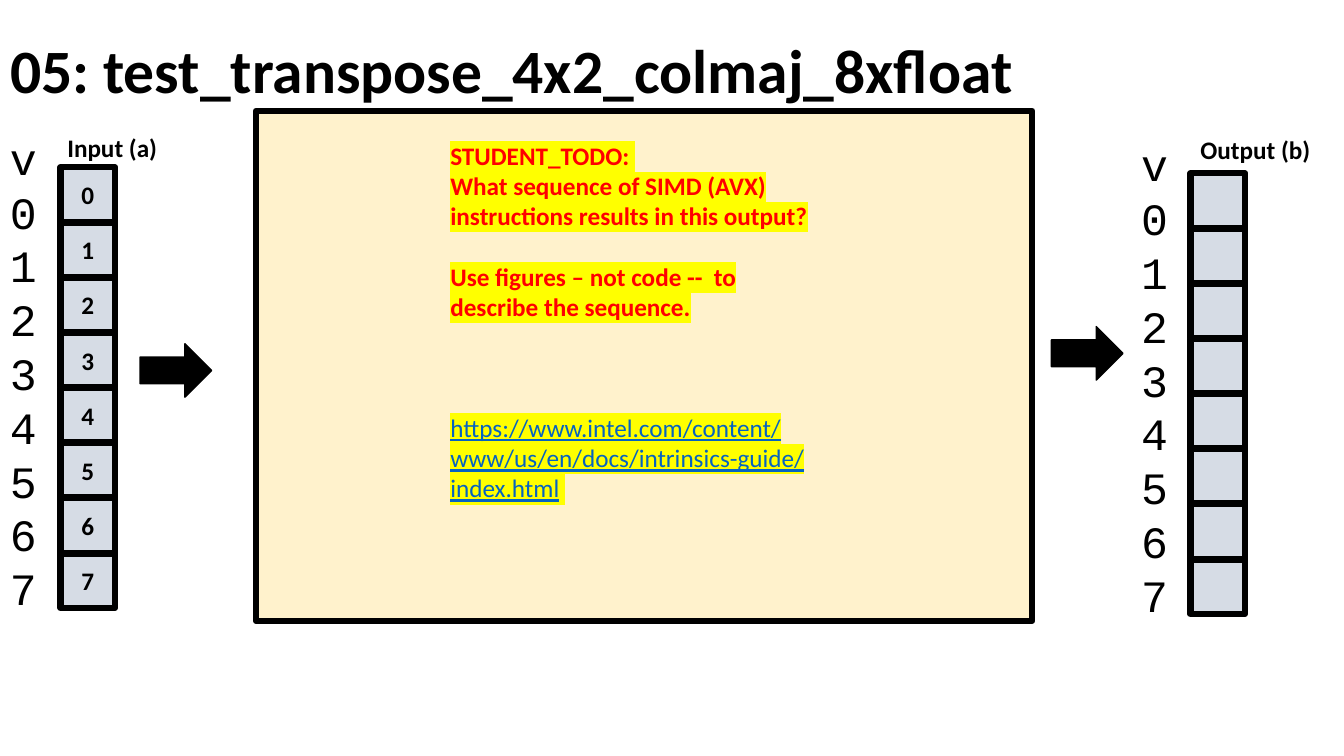
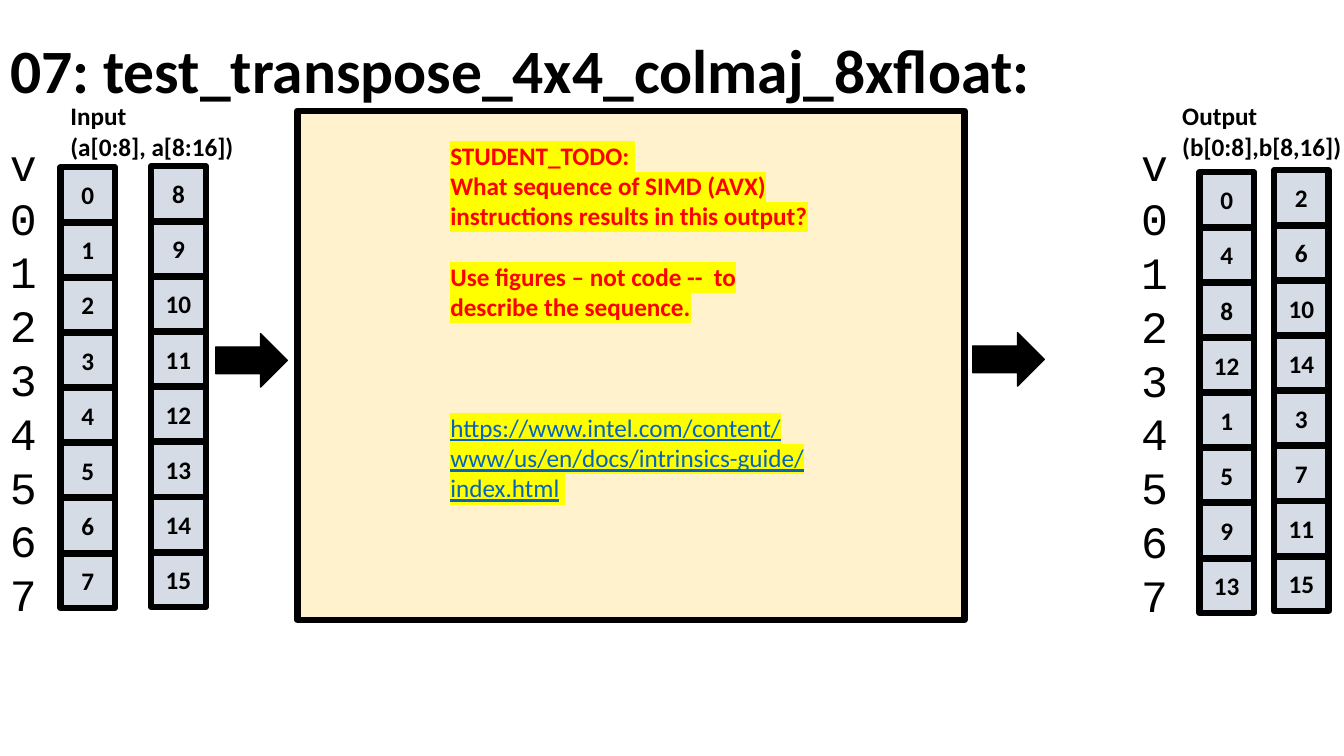
from dataclasses import dataclass

from lxml import etree
from pptx import Presentation
from pptx.dml.color import RGBColor
from pptx.enum.shapes import MSO_SHAPE
from pptx.enum.text import MSO_ANCHOR, MSO_AUTO_SIZE, PP_ALIGN
from pptx.oxml.ns import qn
from pptx.util import Pt

RECT, ARROW = MSO_SHAPE.RECTANGLE, MSO_SHAPE.RIGHT_ARROW
TOP, MIDDLE = MSO_ANCHOR.TOP, MSO_ANCHOR.MIDDLE
LEFT, CENTER = PP_ALIGN.LEFT, PP_ALIGN.CENTER
FIXED = MSO_AUTO_SIZE.NONE
TITLE_ONLY = 5


@dataclass(frozen=True)
class Theme:
    ink: str = "000000"
    cell: str = "D6DCE5"
    panel: str = "FFF2CC"
    alert: str = "FF0000"
    link: str = "0563C1"
    mark: str = "FFFF00"
    sans: str = "Calibri"
    mono: str = "Courier New"
    head: int = 44
    index: int = 32
    body: int = 18
    edge: float = 4.5


@dataclass(frozen=True)
class Box:
    x: float
    y: float
    w: float
    h: float

    def pts(self):
        return [Pt(v) for v in (self.x, self.y, self.w, self.h)]


T = Theme()
SIDE, STEP = 39, 39.4
LINE = 21.6
ROW = 38.4
INDEX = "v01234567"
BOLD = dict(name=T.sans, size=Pt(T.body), bold=True)
PLAIN = dict(BOLD, bold=False)
MONO = dict(name=T.mono, size=Pt(T.index), bold=False)
HEAD = dict(BOLD, size=Pt(T.head))
LINK = dict(PLAIN, underline=True)

TODO = [
    (0, [("STUDENT_TODO: ", BOLD, T.alert)]),
    (0, [("What sequence of SIMD (AVX) instructions results in this output?",
          BOLD, T.alert)]),
    (1, [("Use figures – not code --  to describe the sequence.",
          BOLD, T.alert)]),
    (3, [("https://www.intel.com/content/www/us/en/docs/"
          "intrinsics-guide/index.html", LINK, T.link),
         (" ", PLAIN, T.alert)]),
]


def style(font, look, color=T.ink):
    for key, val in look.items():
        setattr(font, key, val)
    font.color.rgb = RGBColor.from_string(color)


def write(para, text, look, color=T.ink):
    run = para.add_run()
    run.text = text
    style(run.font, look, color)
    return run


def mark(run):
    """Put the highlight colour behind a run."""
    fill = run.font._element.find(qn("a:solidFill"))
    light = etree.Element(qn("a:highlight"))
    etree.SubElement(light, qn("a:srgbClr"), val=T.mark)
    fill.addnext(light)


def shape(slide, kind, box, fill, edge):
    item = slide.shapes.add_shape(kind, *box.pts())
    item.shadow.inherit = False
    item.fill.solid()
    item.fill.fore_color.rgb = RGBColor.from_string(fill)
    item.line.color.rgb = RGBColor.from_string(T.ink)
    item.line.width = Pt(edge)
    return item


def frame(slide, box, **look):
    body = slide.shapes.add_textbox(*box.pts()).text_frame
    look = dict(word_wrap=True, auto_size=FIXED, vertical_anchor=TOP) | look
    for key, val in look.items():
        setattr(body, key, val)
    return body


def paras(body, count):
    """Return the first paragraph and as many new ones as needed."""
    return [body.paragraphs[0]] + [body.add_paragraph()
                                   for _ in range(count - 1)]


def title(slide, text, box):
    head = slide.shapes.title
    head.left, head.top, head.width, head.height = box.pts()
    body = head.text_frame
    body.auto_size, body.vertical_anchor = FIXED, MIDDLE
    para = body.paragraphs[0]
    para.alignment, para.line_spacing = LEFT, 0.9
    write(para, text, HEAD)


def column(slide, x, y, vals):
    for row, val in enumerate(vals):
        box = Box(x, y + row * STEP, SIDE, SIDE)
        body = shape(slide, RECT, box, T.cell, T.edge).text_frame
        body.vertical_anchor = MIDDLE
        if val != "":
            para = body.paragraphs[0]
            para.alignment = CENTER
            write(para, str(val), BOLD)


def vector(slide, box, note, cols):
    """Place row numbers, a label and columns; offsets are from the box."""
    body = frame(slide, Box(box.x, box.y, 40, box.h),
                 margin_top=0, margin_bottom=0)
    for para, sign in zip(paras(body, len(INDEX)), INDEX):
        para.line_spacing = Pt(ROW)
        write(para, sign, MONO)
    dx, dy, *lines = note
    body = frame(slide, Box(box.x + dx, box.y + dy, box.w - dx,
                            LINE * len(lines) + 7.2), margin_right=0)
    for para, text in zip(paras(body, len(lines)), lines):
        write(para, text, BOLD)
    for dx, dy, vals in cols:
        column(slide, box.x + dx, box.y + dy, vals)


def panel(slide, box, inset):
    shape(slide, RECT, box, T.panel, T.edge)
    body = frame(slide, Box(box.x + inset, box.y + 17.3, 281.5, 269))
    for para, (gap, runs) in zip(paras(body, len(TODO)), TODO):
        if gap:
            para.space_before = Pt(gap * LINE)
        for run in runs:
            mark(write(para, *run))


def arrow(slide, x, y):
    shape(slide, ARROW, Box(x, y, 51.1, 38.2), T.ink, 1)


SLIDES = [
    dict(head="05: test_transpose_4x2_colmaj_8xfloat",
         panel=(Box(182.9, 79.2, 554.4, 364.3), 131.7),
         arrows=[(100.1, 245.5), (751, 233.3)],
         vectors=[
             (Box(0, 93.3, 150, 346), (41, -2.6, "Input (a)"),
              [(43.2, 26.2, range(8))]),
             (Box(808, 98, 151, 346), (42.3, -5.8, "Output (b)"),
              [(42.3, 25.8, [""] * 8)])]),
    dict(head="07: test_transpose_4x4_colmaj_8xfloat:",
         panel=(Box(212.4, 79.2, 476.6, 363.6), 102.2),
         arrows=[(154.1, 238.3), (694.8, 237.6)],
         vectors=[
             (Box(0, 97.6, 176, 346),
              (43.2, -29.2, "Input", "(a[0:8], a[8:16])"),
              [(43.2, 21.9, range(8)), (108, 21.2, range(8, 16))]),
             (Box(808, 98, 151, 346),
              (29.4, -29.6, "Output", "(b[0:8],b[8,16])"),
              [(48.8, 25.1, [0, 4, 8, 12, 1, 5, 9, 13]),
               (102.1, 23.7, [2, 6, 10, 14, 3, 7, 11, 15])])]),
]


def build(deck, data):
    slide = deck.slides.add_slide(deck.slide_layouts[TITLE_ONLY])
    title(slide, data["head"], Box(0, 0, 828, 104.4))
    panel(slide, *data["panel"])
    for spot in data["arrows"]:
        arrow(slide, *spot)
    for part in data["vectors"]:
        vector(slide, *part)


def main():
    deck = Presentation()
    deck.slide_width, deck.slide_height = Pt(960), Pt(540)
    for data in SLIDES:
        build(deck, data)
    deck.save("out.pptx")


if __name__ == "__main__":
    main()
